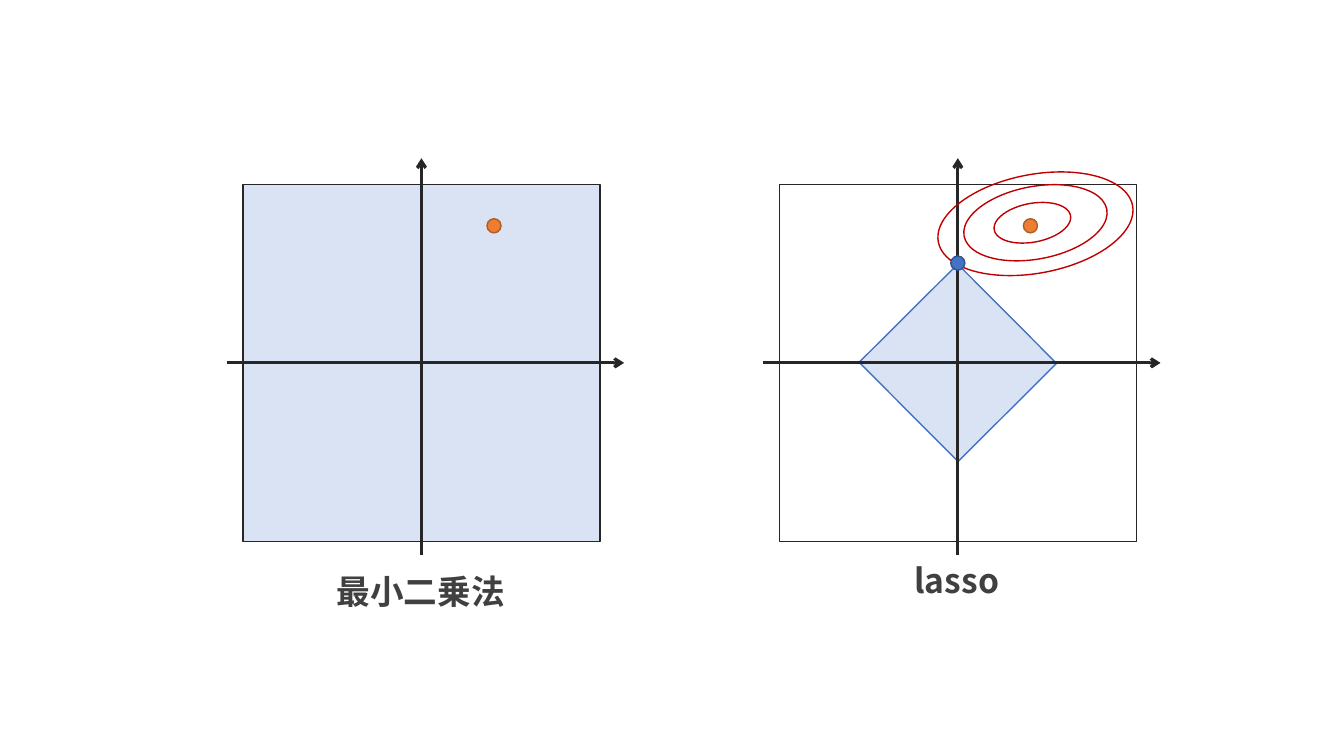
from pptx import Presentation
from pptx.dml.color import RGBColor
from pptx.enum.shapes import MSO_CONNECTOR, MSO_SHAPE
from pptx.oxml.ns import qn
from pptx.util import Inches, Pt
from lxml.etree import SubElement

COLORS = {
    "ink": "262626", "text": "404040", "region": "DAE3F3",
    "blue": "4472C4", "blue_edge": "325491",
    "orange": "ED7D31", "orange_edge": "AF5C24", "contour": "C00000",
}


class Diagram:
    font = "Noto Sans CJK JP"

    def __init__(self, prs):
        self.s = prs.slides.add_slide(prs.slide_layouts[6])

    def color(self, name):
        return RGBColor.from_string(COLORS[name])

    def shape(self, kind, cx, cy, w, h, line, fill=None, rotation=0):
        """Add a preset shape around its centre."""
        sp = self.s.shapes.add_shape(kind, Inches(cx - w / 2), Inches(cy - h / 2),
                                     Inches(w), Inches(h))
        sp.shadow.inherit = False
        sp.rotation = rotation
        if fill:
            sp.fill.solid()
            sp.fill.fore_color.rgb = self.color(fill)
        else:
            sp.fill.background()
        sp.line.color.rgb = self.color(line)
        sp.line.width = Pt(1)

    def dot(self, cx, cy, name):
        self.shape(MSO_SHAPE.OVAL, cx, cy, 0.14, 0.14, name + "_edge", name)

    def arrow(self, x1, y1, x2, y2):
        c = self.s.shapes.add_connector(MSO_CONNECTOR.STRAIGHT, Inches(x1), Inches(y1),
                                        Inches(x2), Inches(y2))
        c.line.color.rgb = self.color("ink")
        c.line.width = Pt(2.25)
        SubElement(c.line._get_or_add_ln(), qn("a:tailEnd"), type="arrow")
        SubElement(c._element.spPr, qn("a:effectLst"))

    def axes(self, cx, cy):
        self.arrow(cx - 1.93, cy, cx + 2.01, cy)
        self.arrow(cx, cy + 1.91, cx, cy - 2.03)

    def label(self, text, x, y, w):
        tf = self.s.shapes.add_textbox(Inches(x), Inches(y), Inches(w), Inches(0.5)).text_frame
        tf.word_wrap = False
        p = tf.paragraphs[0]
        p.text = text
        p.font.name = self.font
        p.font.size = Pt(24)
        p.font.bold = True
        p.font.color.rgb = self.color("text")
        # East Asian typeface, placed right after the Latin one
        latin = p._p.pPr.find(qn("a:defRPr")).find(qn("a:latin"))
        ea = SubElement(latin.getparent(), qn("a:ea"), typeface=self.font)
        latin.addnext(ea)


def main():
    prs = Presentation()
    prs.slide_width, prs.slide_height = Inches(13.33), Inches(7.5)
    d = Diagram(prs)
    left, right, mid = 4.18, 9.5, 3.6
    frame = 3.54

    # Least squares: the whole plane is allowed
    d.shape(MSO_SHAPE.RECTANGLE, left, mid, frame, frame, "ink", "region")
    d.axes(left, mid)
    d.label("最小二乗法", 3.24, 5.61, 1.88)

    # Lasso: only the diamond is allowed
    d.shape(MSO_SHAPE.RECTANGLE, right, mid, frame, frame, "ink")
    d.shape(MSO_SHAPE.RECTANGLE, right, mid, 1.39, 1.38, "blue", "region", 45.1)
    d.axes(right, mid)
    d.label("lasso", 8.97, 5.51, 1.05)

    # Least-squares estimate in both planes
    for cx in (left, right):
        d.dot(cx + 0.72, 2.24, "orange")

    # Error contours and the lasso solution
    for cx, cy, w in ((10.27, 2.22, 1.96), (10.27, 2.21, 1.44), (10.24, 2.21, 0.77)):
        d.shape(MSO_SHAPE.OVAL, cx, cy, w, w / 2, "contour", rotation=349.4)
    d.dot(right, 2.61, "blue")

    prs.save("out.pptx")


if __name__ == "__main__":
    main()
